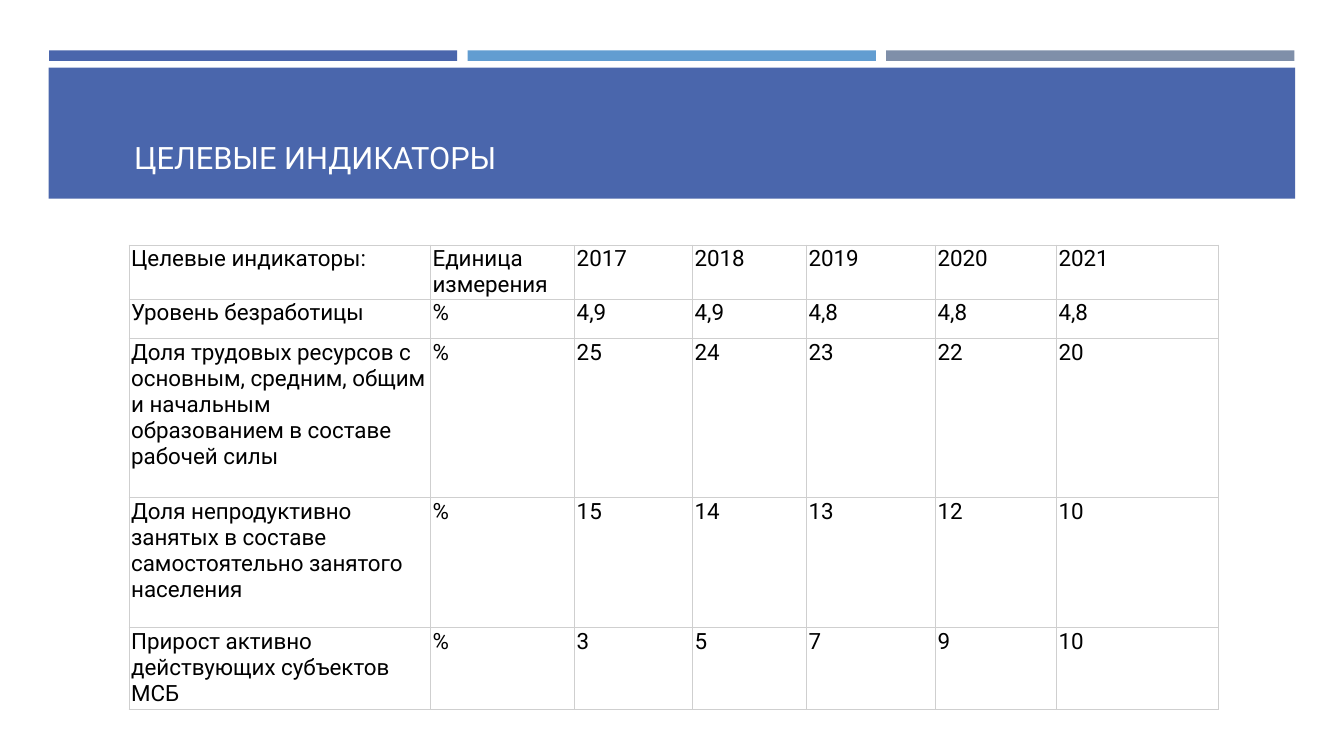
from lxml.etree import SubElement
from pptx import Presentation
from pptx.dml.color import RGBColor
from pptx.enum.shapes import MSO_SHAPE
from pptx.enum.text import MSO_ANCHOR, PP_ALIGN
from pptx.oxml.ns import qn
from pptx.util import Pt

FONT = "Roboto"
TITLE = "ЦЕЛЕВЫЕ ИНДИКАТОРЫ"
ROWS = [
    ("Целевые индикаторы:", "Единица измерения", "2017", "2018", "2019", "2020", "2021"),
    ("Уровень безработицы", "%", "4,9", "4,9", "4,8", "4,8", "4,8"),
    ("Доля трудовых ресурсов с основным, средним, общим и начальным образованием в составе рабочей силы",
     "%", "25", "24", "23", "22", "20"),
    ("Доля непродуктивно занятых в составе самостоятельно занятого населения",
     "%", "15", "14", "13", "12", "10"),
    ("Прирост активно действующих субъектов МСБ", "%", "3", "5", "7", "9", "10"),
]
COL_WIDTHS = [215.3, 103, 84.2, 81.4, 92.2, 86.4, 115.9]
ROW_HEIGHTS = [38.6, 28.4, 113.6, 92.9, 58.2]
STRIPES = ["4A66AC", "629DD1", "7F8FA9"]
BAND = "4A66AC"
GRID = "CFCFCF"


def rgb(value):
    return RGBColor.from_string(value)


def add_rect(s, x, y, w, h, color):
    sp = s.shapes.add_shape(MSO_SHAPE.RECTANGLE, Pt(x), Pt(y), Pt(w), Pt(h))
    sp.shadow.inherit = False
    sp.fill.solid()
    sp.fill.fore_color.rgb = rgb(color)
    sp.line.fill.background()


def add_text(tf, text, size, color):
    p = tf.paragraphs[0]
    p.alignment = PP_ALIGN.LEFT
    r = p.add_run()
    r.text = text
    r.font.name = FONT
    r.font.size = Pt(size)
    r.font.color.rgb = rgb(color)


def add_borders(cell):
    tc_pr = cell._tc.get_or_add_tcPr()
    for side in ("a:lnL", "a:lnR", "a:lnT", "a:lnB"):
        ln = SubElement(tc_pr, qn(side), w=str(Pt(0.75)))
        fill = SubElement(ln, qn("a:solidFill"))
        SubElement(fill, qn("a:srgbClr"), val=GRID)


def add_indicators(s):
    frame = s.shapes.add_table(len(ROWS), len(COL_WIDTHS), Pt(92.2), Pt(175),
                               Pt(sum(COL_WIDTHS)), Pt(sum(ROW_HEIGHTS)))
    table = frame.table
    table.first_row = table.horz_banding = False
    for col, width in zip(table.columns, COL_WIDTHS):
        col.width = Pt(width)
    for row, height, texts in zip(table.rows, ROW_HEIGHTS, ROWS):
        row.height = Pt(height)
        for cell, text in zip(row.cells, texts):
            cell.margin_left = cell.margin_right = Pt(1.5)
            cell.margin_top = cell.margin_bottom = Pt(0.7)
            add_borders(cell)
            cell.fill.solid()
            cell.fill.fore_color.rgb = rgb("FFFFFF")
            add_text(cell.text_frame, text, 16, "000000")


def add_title(s):
    title = s.shapes.title
    title.left, title.top, title.width, title.height = Pt(88.6), Pt(95), Pt(281.5), Pt(34)
    tf = title.text_frame
    tf.word_wrap = False
    tf.vertical_anchor = MSO_ANCHOR.MIDDLE
    add_text(tf, TITLE, 22, "FFFFFF")
    s.shapes._spTree.append(title._element)


def main():
    prs = Presentation()
    prs.slide_width, prs.slide_height = Pt(960), Pt(540)
    s = prs.slides.add_slide(prs.slide_layouts[5])
    for i, color in enumerate(STRIPES):
        add_rect(s, 35 + i * 299, 36, 291.6, 7.5, color)
    add_rect(s, 34.8, 48.4, 890.4, 93.6, BAND)
    add_indicators(s)
    add_title(s)
    prs.save("out.pptx")


if __name__ == "__main__":
    main()
